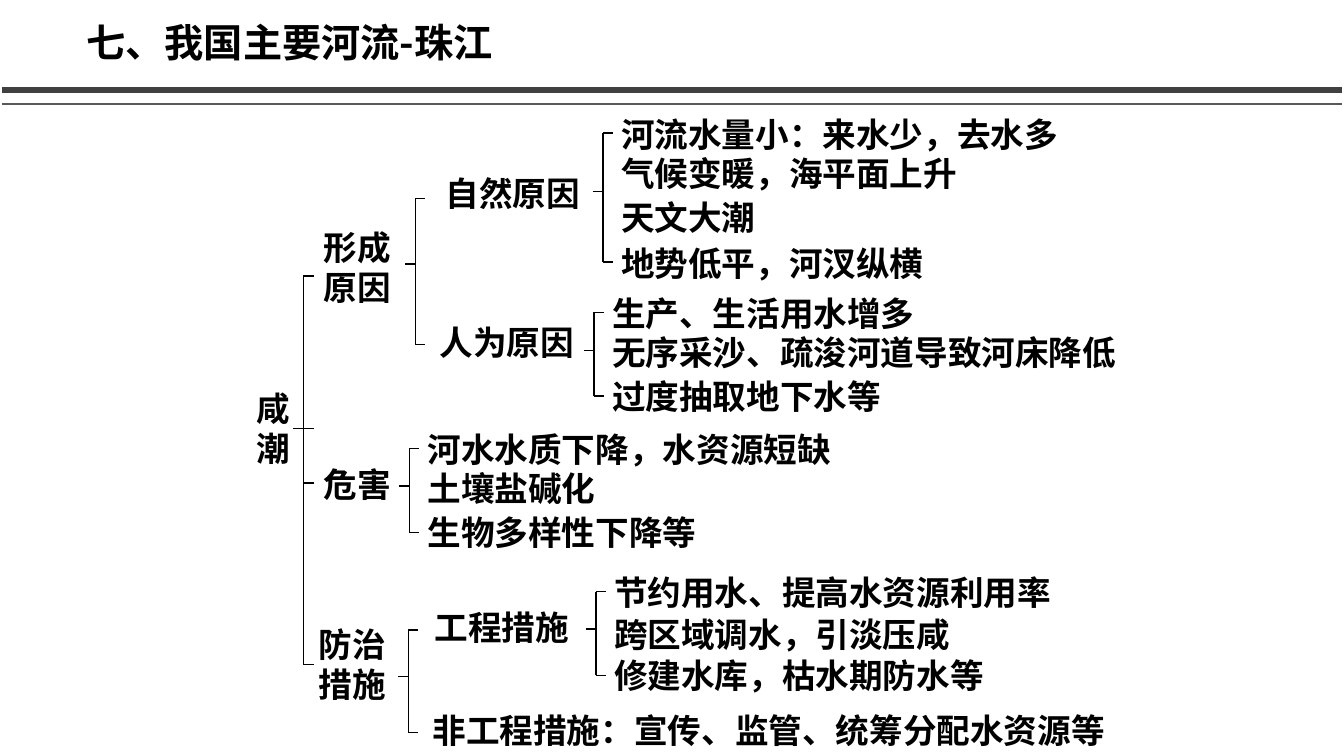
import pptx
import pptx.util
import pptx.dml.color
import pptx.enum.shapes
import pptx.enum.text
import pptx.oxml.ns
import lxml.etree

Inches = pptx.util.Inches
FONT = "Noto Sans CJK SC"
BLACK = "000000"
TICK = 0.1

# text, left, top, width, height
TOPICS = [
    ("形成原因", 3.17, 2.2, 1.03, 0.91),
    ("危害", 3.17, 4.55, 0.92, 0.5),
    ("防治措施", 3.12, 6.14, 1.04, 0.91),
    ("自然原因", 4.38, 1.67, 1.64, 0.5),
    ("人为原因", 4.32, 3.14, 1.64, 0.5),
    ("工程措施", 4.27, 5.97, 1.64, 0.5),
    ("非工程措施：宣传、监管、统筹分配水资源等", 4.25, 6.99, 7.11, 0.5),
]

# left, then (top, text) for each line
DETAILS = [
    (6.12, [(1.08, "河流水量小：来水少，去水多"), (1.47, "气候变暖，海平面上升"),
            (1.9, "天文大潮"), (2.36, "地势低平，河汊纵横")]),
    (6.03, [(2.86, "生产、生活用水增多"), (3.24, "无序采沙、疏浚河道导致河床降低"),
            (3.68, "过度抽取地下水等")]),
    (4.2, [(4.21, "河水水质下降，水资源短缺"), (4.59, "土壤盐碱化"),
           (5.03, "生物多样性下降等")]),
    (6.05, [(5.62, "节约用水、提高水资源利用率"), (6.04, "跨区域调水，引淡压咸"),
            (6.45, "修建水库，枯水期防水等")]),
]

# spine x, height of the stem on the left, heights of the branches on the right
BRACKETS = [
    (3.01, 4.25, [2.74, 4.25, 4.79, 6.59]),
    (4.12, 2.62, [1.97, 3.42]),
    (5.98, 1.9, [1.32, 2.6]),
    (5.89, 3.48, [3.1, 3.93]),
    (4.06, 4.82, [4.45, 5.28]),
    (4.05, 6.71, [6.25, 7.27]),
    (5.91, 6.24, [5.87, 6.7]),
]


def rgb(color):
    return pptx.dml.color.RGBColor.from_string(color)


def add_text(slide, text, left, top, width, height, size=24, inset=0.04):
    sp = slide.shapes.add_textbox(Inches(left), Inches(top), Inches(width), Inches(height))
    tf = sp.text_frame
    tf.word_wrap = True
    tf.auto_size = pptx.enum.text.MSO_AUTO_SIZE.SHAPE_TO_FIT_TEXT
    tf.margin_left = tf.margin_right = Inches(inset)
    tf.margin_top = tf.margin_bottom = Inches(0.05)
    tf.text = text
    font = tf.paragraphs[0].runs[0].font
    font.size = pptx.util.Pt(size)
    font.bold = True
    font.color.rgb = rgb(BLACK)
    font.name = FONT
    # Chinese characters take their font from a:ea
    r_pr = tf.paragraphs[0].runs[0]._r.get_or_add_rPr()
    lxml.etree.SubElement(r_pr, pptx.oxml.ns.qn("a:ea")).set("typeface", FONT)


def add_line(slide, x1, y1, x2, y2, color=BLACK, weight=1):
    line = slide.shapes.add_connector(
        pptx.enum.shapes.MSO_CONNECTOR.STRAIGHT,
        Inches(x1), Inches(y1), Inches(x2), Inches(y2))
    line.line.color.rgb = rgb(color)
    line.line.width = pptx.util.Pt(weight)
    lxml.etree.SubElement(line._element.spPr, pptx.oxml.ns.qn("a:effectLst"))


def add_bracket(slide, x, stem, branches):
    add_line(slide, x, branches[0], x, branches[-1])
    add_line(slide, x - TICK, stem, x, stem)
    for y in branches:
        add_line(slide, x, y, x + TICK, y)


def main():
    prs = pptx.Presentation()
    prs.slide_width, prs.slide_height = Inches(13.33), Inches(7.5)
    slide = prs.slides.add_slide(prs.slide_layouts[6])

    add_line(slide, 0.02, 1.03, 13.31, 1.03, "595959", 1.5)
    add_line(slide, 0.02, 0.89, 13.31, 0.89, "404040", 4.5)
    add_text(slide, "七、我国主要河流-珠江", 0.76, 0.13, 5.31, 0.58, size=28, inset=0.1)

    add_text(slide, "咸潮", 2.45, 3.8, 0.66, 0.91, inset=0.1)
    for topic in TOPICS:
        add_text(slide, *topic)
    for left, lines in DETAILS:
        for top, text in lines:
            add_text(slide, text, left, top, 5.21, 0.5)
    for bracket in BRACKETS:
        add_bracket(slide, *bracket)

    prs.save("out.pptx")


if __name__ == "__main__":
    main()
